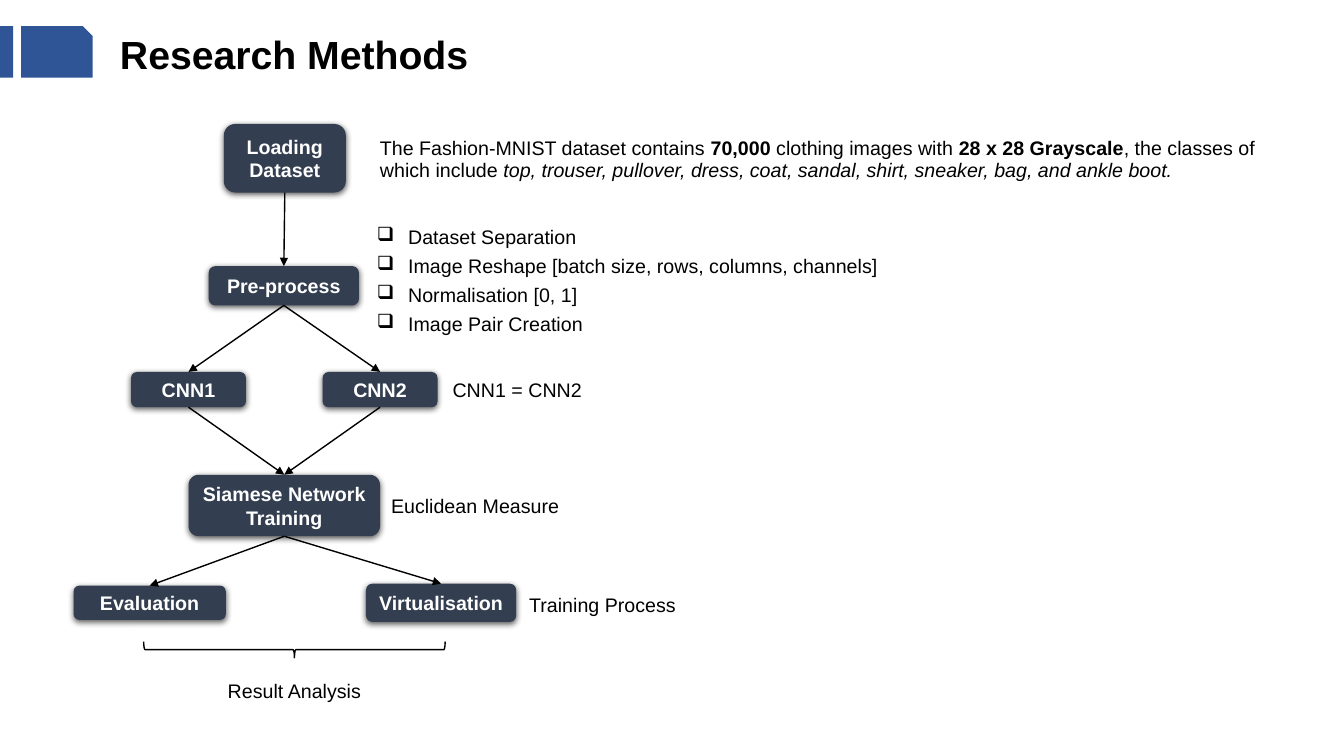
from dataclasses import dataclass

from lxml import etree
from pptx import Presentation
from pptx.dml.color import RGBColor
from pptx.enum.shapes import MSO_CONNECTOR, MSO_SHAPE
from pptx.enum.text import MSO_ANCHOR, MSO_AUTO_SIZE, PP_ALIGN
from pptx.oxml import parse_xml
from pptx.oxml.ns import nsdecls, qn
from pptx.util import Inches, Pt

FONT = "Arial"
BLACK, WHITE, SLATE, BLUE = "000000", "FFFFFF", "333F50", "2F5597"
SHADOW = (
    f'<a:effectLst {nsdecls("a")}><a:outerShdw blurRad="57150" dist="19050" dir="5400000" '
    'algn="ctr" rotWithShape="0"><a:srgbClr val="000000"><a:alpha val="63000"/></a:srgbClr>'
    "</a:outerShdw></a:effectLst>"
)


@dataclass
class Step:
    name: str
    left: float
    top: float
    width: float
    height: float
    lines: tuple[str, ...] = ()


@dataclass
class Run:
    text: str
    bold: bool = False
    italic: bool = False


@dataclass
class Note:
    left: float
    top: float
    width: float
    height: float
    paragraphs: list[list[Run]]
    bulleted: bool = False
    centred: bool = False
    spacing: float = 0.9


STEPS = [
    Step("Loading Dataset", 2.22, 1.23, 1.21, 0.68),
    Step("Pre-process", 2.07, 2.64, 1.49, 0.39),
    Step("CNN1", 1.3, 3.69, 1.14, 0.35),
    Step("CNN2", 3.2, 3.69, 1.14, 0.35),
    Step("Training", 1.87, 4.71, 1.9, 0.61, ("Siamese Network", "Training")),
    Step("Evaluation", 0.73, 5.81, 1.51, 0.34),
    Step("Virtualisation", 3.63, 5.79, 1.49, 0.38),
]
ARROWS = [
    ("Loading Dataset", "Pre-process"),
    ("Pre-process", "CNN1"),
    ("Pre-process", "CNN2"),
    ("CNN1", "Training"),
    ("CNN2", "Training"),
    ("Training", "Evaluation"),
    ("Training", "Virtualisation"),
]
DATASET = [
    Run("The Fashion-MNIST dataset contains "),
    Run("70,000", bold=True),
    Run(" clothing images with "),
    Run("28 x 28 Grayscale", bold=True),
    Run(", the classes of which include "),
    Run("top, trouser, pullover, dress, coat, sandal, shirt, sneaker, bag, and ankle boot.",
        italic=True),
]
PREPROCESSING = [
    "Dataset Separation",
    "Image Reshape [batch size, rows, columns, channels]",
    "Normalisation [0, 1]",
    "Image Pair Creation",
]
NOTES = [
    Note(3.67, 1.33, 9.2, 0.53, [DATASET]),
    Note(3.64, 2.21, 5.2, 1.2, [[Run(text)] for text in PREPROCESSING], bulleted=True),
    Note(4.39, 3.73, 1.49, 0.31, [[Run("CNN1 = CNN2")]]),
    Note(3.78, 4.88, 1.95, 0.31, [[Run("Euclidean Measure")]]),
    Note(5.15, 5.86, 1.95, 0.31, [[Run("Training Process")]]),
    Note(1.56, 6.67, 2.72, 0.33, [[Run("Result Analysis")]], centred=True, spacing=1.07),
]


def rgb(value: str) -> RGBColor:
    return RGBColor.from_string(value)


def frame(left: float, top: float, width: float, height: float) -> tuple:
    return Inches(left), Inches(top), Inches(width), Inches(height)


def add_run(paragraph, run: Run, color: str, size: float = 14) -> None:
    item = paragraph.add_run()
    item.text = run.text
    font = item.font
    font.name, font.size, font.bold, font.italic = FONT, Pt(size), run.bold, run.italic
    font.color.rgb = rgb(color)


def add_filled(shapes, kind, box: tuple, color: str):
    shape = shapes.add_shape(kind, *box)
    shape.shadow.inherit = False
    shape.fill.solid()
    shape.fill.fore_color.rgb = rgb(color)
    shape.line.fill.background()
    return shape


def add_step(shapes, step: Step):
    box = frame(step.left, step.top, step.width, step.height)
    shape = add_filled(shapes, MSO_SHAPE.ROUNDED_RECTANGLE, box, SLATE)
    properties = shape._element.spPr
    properties.replace(properties.find(qn("a:effectLst")), parse_xml(SHADOW))
    text = shape.text_frame
    text.word_wrap = True
    text.vertical_anchor = MSO_ANCHOR.MIDDLE
    for index, line in enumerate(step.lines or (step.name,)):
        paragraph = text.add_paragraph() if index else text.paragraphs[0]
        paragraph.alignment = PP_ALIGN.CENTER
        add_run(paragraph, Run(line, bold=True), WHITE)
    return shape


def add_arrow(shapes, source, target) -> None:
    arrow = shapes.add_connector(MSO_CONNECTOR.STRAIGHT, 0, 0, 0, 0)
    arrow.begin_connect(source, 2)
    arrow.end_connect(target, 0)
    arrow.line.color.rgb = rgb(BLACK)
    arrow.line.width = Pt(1)
    etree.SubElement(arrow.line._get_or_add_ln(), qn("a:tailEnd"), type="triangle")
    etree.SubElement(arrow._element.spPr, qn("a:effectLst"))


def add_note(shapes, note: Note) -> None:
    box = shapes.add_textbox(*frame(note.left, note.top, note.width, note.height))
    text = box.text_frame
    text.word_wrap = True
    for index, runs in enumerate(note.paragraphs):
        paragraph = text.add_paragraph() if index else text.paragraphs[0]
        paragraph.alignment = PP_ALIGN.CENTER if note.centred else PP_ALIGN.LEFT
        paragraph.line_spacing = note.spacing
        paragraph.space_after = Pt(5.5)
        if note.bulleted:
            properties = paragraph._p.get_or_add_pPr()
            properties.set("marL", str(Inches(0.31)))
            properties.set("indent", str(-Inches(0.31)))
            etree.SubElement(properties, qn("a:buChar"), char="\u2751")
        for run in runs:
            add_run(paragraph, run, BLACK)


def add_header(shapes) -> None:
    for left, width, snip in ((0, 0.13, 0), (0.21, 0.71, 0.193)):
        tab = add_filled(shapes, MSO_SHAPE.SNIP_1_RECTANGLE, frame(left, 0.26, width, 0.51), BLUE)
        tab.adjustments[0] = snip
    title = shapes.title
    title.left, title.top, title.width, title.height = frame(1.09, 0.25, 4.17, 0.57)
    text = title.text_frame
    text.word_wrap = True
    text.auto_size = MSO_AUTO_SIZE.NONE
    text.vertical_anchor = MSO_ANCHOR.TOP
    text.paragraphs[0].alignment = PP_ALIGN.LEFT
    add_run(text.paragraphs[0], Run("Research Methods", bold=True), BLACK, 28)


def add_brace(shapes) -> None:
    brace = shapes.add_shape(MSO_SHAPE.LEFT_BRACE, *frame(2.84, 4.95, 0.16, 2.99))
    brace.shadow.inherit = False
    brace.rotation = 270
    brace.fill.background()
    brace.line.color.rgb = rgb(BLACK)
    brace.line.width = Pt(1)


presentation = Presentation()
presentation.slide_width, presentation.slide_height = Inches(13.33), Inches(7.5)
shapes = presentation.slides.add_slide(presentation.slide_layouts[5]).shapes
add_header(shapes)
boxes = {step.name: add_step(shapes, step) for step in STEPS}
for start, end in ARROWS:
    add_arrow(shapes, boxes[start], boxes[end])
for note in NOTES:
    add_note(shapes, note)
add_brace(shapes)
presentation.save("out.pptx")
